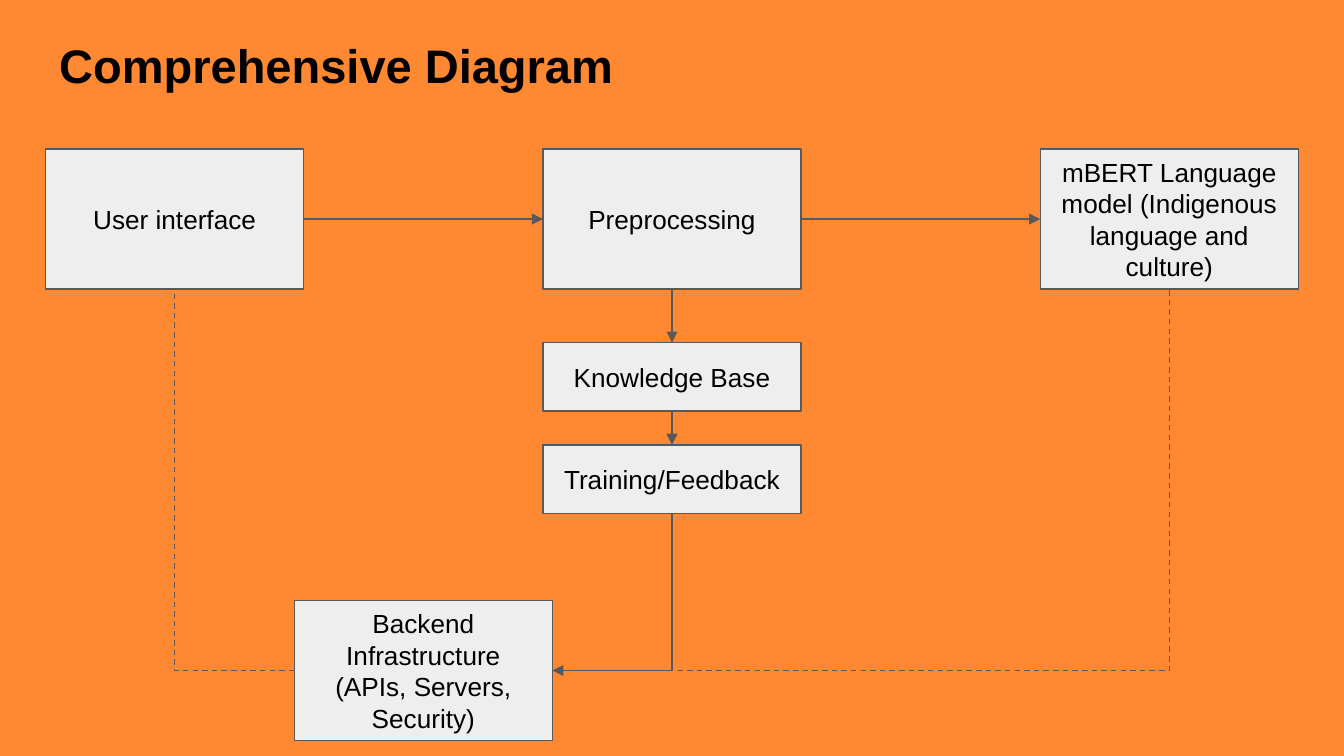
"""Build the Comprehensive Diagram slide: six boxes joined by arrows and dashed links."""
from lxml import etree
from pptx import Presentation
from pptx.dml.color import RGBColor
from pptx.enum.dml import MSO_LINE
from pptx.enum.shapes import MSO_CONNECTOR, MSO_SHAPE
from pptx.enum.text import MSO_ANCHOR, MSO_AUTO_SIZE, PP_ALIGN
from pptx.oxml.ns import qn
from pptx.util import Inches, Pt

DASH = MSO_LINE.DASH
STRAIGHT, ELBOW = MSO_CONNECTOR.STRAIGHT, MSO_CONNECTOR.ELBOW
RECTANGLE = MSO_SHAPE.RECTANGLE
TOP, MIDDLE = MSO_ANCHOR.TOP, MSO_ANCHOR.MIDDLE
LEFT, CENTER = PP_ALIGN.LEFT, PP_ALIGN.CENTER
NO_AUTOFIT = MSO_AUTO_SIZE.NONE

COLORS = {"background": "FE8932", "box": "EEEEEE", "line": "595959", "text": "000000"}
FONT = "Arial"
TITLE = "Comprehensive Diagram"
SLIDE_W = 10
SLIDE_H = SLIDE_W * 9 / 16
MARGIN, BOX_W, TALL, SHORT = 0.34, 1.92, 1.04, 0.51
COLUMNS = [MARGIN + i * 3.7 for i in range(3)]
TOP_ROW = 1.11
BOXES = {
    "interface": ("User interface", COLUMNS[0], TOP_ROW, TALL),
    "preprocessing": ("Preprocessing", COLUMNS[1], TOP_ROW, TALL),
    "model": ("mBERT Language model (Indigenous language and culture)",
              COLUMNS[2], TOP_ROW, TALL),
    "knowledge": ("Knowledge Base", COLUMNS[1], 2.55, SHORT),
    "training": ("Training/Feedback", COLUMNS[1], 3.31, SHORT),
    "backend": ("Backend Infrastructure (APIs, Servers, Security)", 2.19, 4.47, TALL),
}
SITES = {"top": 0, "left": 1, "bottom": 2, "right": 3}
ARROWS = [
    ("interface", "right", "preprocessing", "left"),
    ("preprocessing", "right", "model", "left"),
    ("preprocessing", "bottom", "knowledge", "top"),
    ("knowledge", "bottom", "training", "top"),
]
BACKEND_LINKS = [
    ("right", "training", True),
    ("right", "model", False),
    ("left", "interface", False),
]


def rgb(name):
    return RGBColor.from_string(COLORS[name])


def write(sp, text, size, align, anchor, bold=False):
    tf = sp.text_frame
    tf.text = text
    tf.word_wrap = True
    tf.auto_size = NO_AUTOFIT
    tf.vertical_anchor = anchor
    tf.margin_left = tf.margin_right = tf.margin_top = tf.margin_bottom = Inches(0.1)
    p = tf.paragraphs[0]
    p.alignment = align
    p.font.name, p.font.size, p.font.bold = FONT, Pt(size), bold
    p.font.color.rgb = rgb("text")


def style_line(line):
    line.color.rgb = rgb("line")
    line.width = Pt(0.75)


def add_box(s, text, left, top, height):
    sp = s.shapes.add_shape(RECTANGLE, Inches(left), Inches(top),
                            Inches(BOX_W), Inches(height))
    sp.shadow.inherit = False
    sp.fill.solid()
    sp.fill.fore_color.rgb = rgb("box")
    style_line(sp.line)
    write(sp, text, 14, CENTER, MIDDLE)
    return sp


def connect(s, kind, start, start_site, end, end_site, arrow=None):
    cx = s.shapes.add_connector(kind, 0, 0, 0, 0)
    cx.begin_connect(start, SITES[start_site])
    cx.end_connect(end, SITES[end_site])
    style_line(cx.line)
    pr = cx._element.spPr
    if kind == ELBOW:
        pr.find(qn("a:prstGeom")).set("prst", "bentConnector2")
    if arrow:
        etree.SubElement(pr.find(qn("a:ln")), qn(arrow), type="triangle")
    else:
        cx.line.dash_style = DASH
    etree.SubElement(pr, qn("a:effectLst"))


def main():
    prs = Presentation()
    prs.slide_width, prs.slide_height = Inches(SLIDE_W), Inches(SLIDE_H)
    s = prs.slides.add_slide(prs.slide_layouts[5])
    s.background.fill.solid()
    s.background.fill.fore_color.rgb = rgb("background")

    title = s.shapes.title
    title.left, title.top = Inches(MARGIN), Inches(0.17)
    title.width, title.height = Inches(SLIDE_W - 2 * MARGIN), Inches(0.63)
    write(title, TITLE, 25.2, LEFT, TOP, bold=True)

    boxes = {name: add_box(s, *box) for name, box in BOXES.items()}
    for start, start_site, end, end_site in ARROWS:
        connect(s, STRAIGHT, boxes[start], start_site, boxes[end], end_site, "a:tailEnd")
    for site, other, has_arrow in BACKEND_LINKS:
        connect(s, ELBOW, boxes["backend"], site, boxes[other], "bottom",
                "a:headEnd" if has_arrow else None)

    prs.save("out.pptx")


if __name__ == "__main__":
    main()
